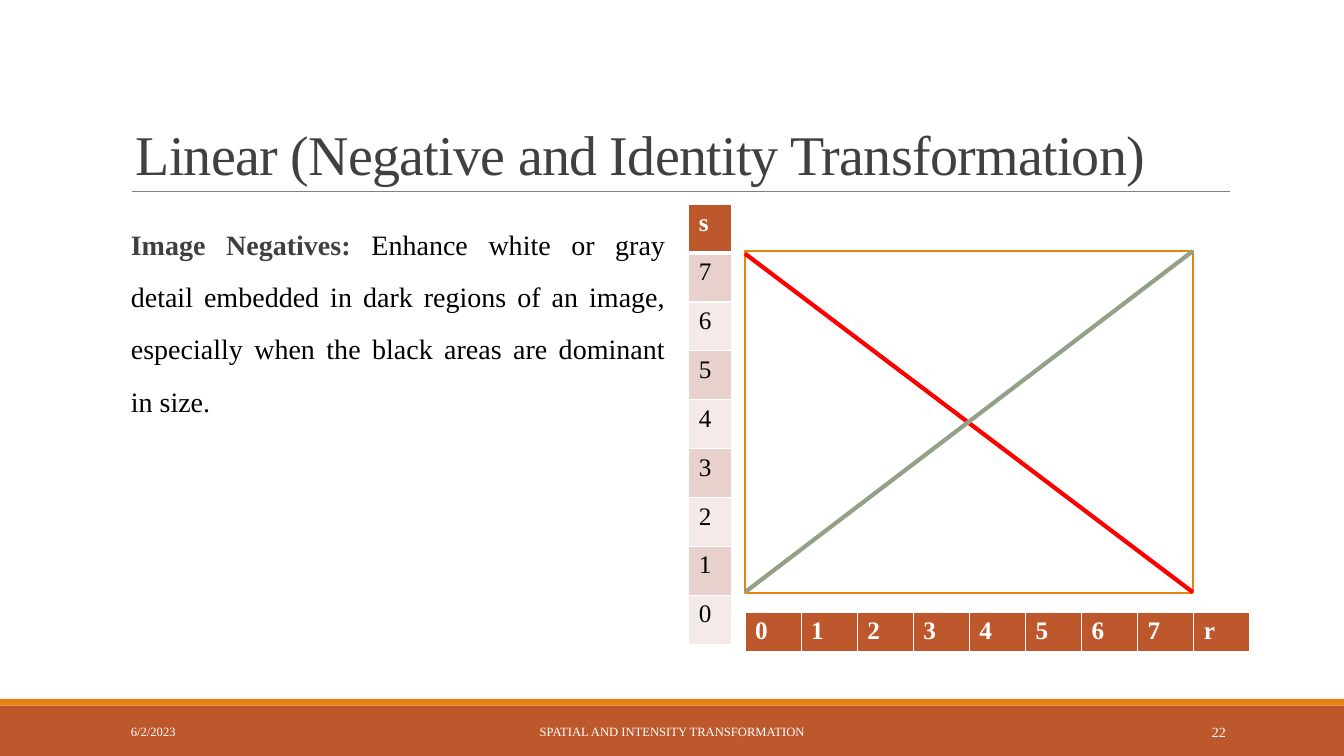
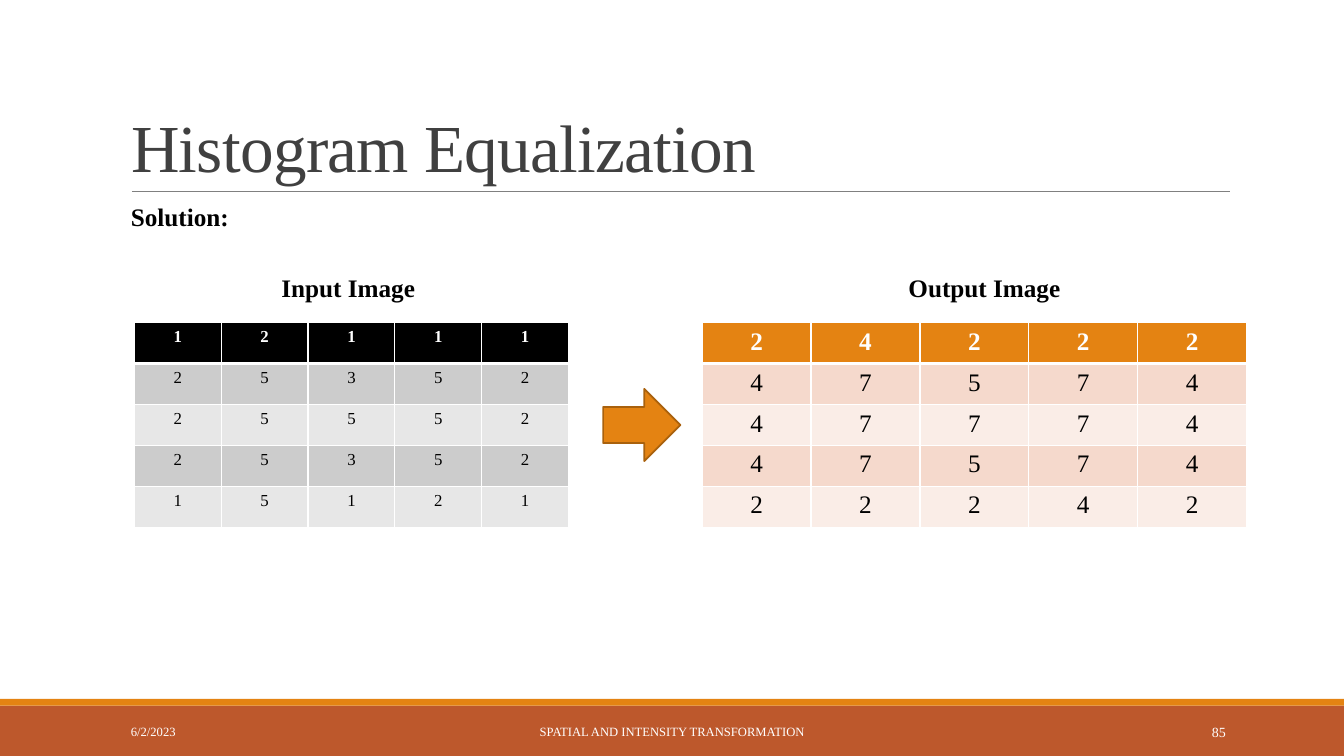
import collections

import lxml.etree
import pptx
import pptx.dml.color
import pptx.enum.shapes
import pptx.enum.text
import pptx.oxml.ns
import pptx.util

RGB = pptx.dml.color.RGBColor
SHAPE = pptx.enum.shapes.MSO_SHAPE
ALIGN = pptx.enum.text.PP_ALIGN
ANCHOR = pptx.enum.text.MSO_ANCHOR
Pt = pptx.util.Pt
qn = pptx.oxml.ns.qn

FONT = "Times New Roman"
WHITE = RGB(0xFF, 0xFF, 0xFF)
BLACK = RGB(0, 0, 0)
INK = RGB(0x40, 0x40, 0x40)
RULE = RGB(0x80, 0x80, 0x80)
RUST = RGB(0xBD, 0x58, 0x2C)
ORANGE = RGB(0xE4, 0x83, 0x12)
ARROW_EDGE = RGB(0xA9, 0x61, 0x0D)
RED = RGB(0xFF, 0, 0)
SAGE = RGB(0x94, 0xA0, 0x88)

# Table themes: header fill, then the two alternating row fills
RUST_THEME = (RUST, RGB(0xE8, 0xD1, 0xCD), RGB(0xF4, 0xEA, 0xE8))
GRAY_THEME = (BLACK, RGB(0xCC, 0xCC, 0xCC), RGB(0xE7, 0xE7, 0xE7))
ORANGE_THEME = (ORANGE, RGB(0xF5, 0xD9, 0xCC), RGB(0xFA, 0xED, 0xE7))

# The slide is a grid of 160 columns by 90 rows of square units
COLUMNS, ROWS = 160, 90
UNIT = pptx.util.Inches(7.5) / ROWS

Box = collections.namedtuple("Box", "x y w h")
FOOTER = Box(0, 83.2, COLUMNS, 6.8)


def units(*values):
    return [round(v * UNIT) for v in values]


def style(r, size, color, bold=False):
    r.font.name = FONT
    r.font.size = Pt(size)
    r.font.color.rgb = color
    r.font.bold = bold


def add_shape(s, kind, box, fill, edge=None):
    sp = s.shapes.add_shape(kind, *units(*box))
    sp.shadow.inherit = False
    sp.fill.solid()
    sp.fill.fore_color.rgb = fill
    if edge is None:
        sp.line.fill.background()
    else:
        sp.line.color.rgb = edge
        sp.line.width = Pt(1.25)
    return sp


def add_line(s, start, end, color, width):
    line = s.shapes.add_connector(
        pptx.enum.shapes.MSO_CONNECTOR.STRAIGHT, *units(*start, *end))
    line.line.color.rgb = color
    line.line.width = Pt(width)
    lxml.etree.SubElement(line._element.spPr, qn("a:effectLst"))


def add_label(s, box, text, size, color, bold=False, align=ALIGN.LEFT,
              anchor=ANCHOR.TOP):
    tf = s.shapes.add_textbox(*units(*box)).text_frame
    tf.word_wrap = True
    tf.vertical_anchor = anchor
    tf.text = text
    p = tf.paragraphs[0]
    p.alignment = align
    style(p.runs[0], size, color, bold)


def set_borders(cell, top, bottom):
    """Draw white cell borders; left and right are always 1 pt."""
    tc_pr = cell._tc.get_or_add_tcPr()
    sides = (("L", 1), ("R", 1), ("T", top), ("B", bottom))
    for i, (side, width) in enumerate(sides):
        ln = lxml.etree.Element(qn(f"a:ln{side}"), w=str(Pt(width)))
        fill = lxml.etree.SubElement(ln, qn("a:solidFill"))
        lxml.etree.SubElement(fill, qn("a:srgbClr"), val=str(WHITE))
        tc_pr.insert(i, ln)


def add_grid(s, box, rows, theme, size, align=ALIGN.CENTER):
    """Fill a table from strings, one character per cell; row 0 is the header."""
    n_rows, n_cols = len(rows), len(rows[0])
    table = s.shapes.add_table(n_rows, n_cols, *units(*box)).table
    for column in table.columns:
        column.width = units(box.w / n_cols)[0]
    for i, row in enumerate(rows):
        table.rows[i].height = units(box.h / n_rows)[0]
        header = i == 0
        fill = theme[0] if header else theme[2 - i % 2]
        for j, value in enumerate(row):
            cell = table.cell(i, j)
            cell.fill.solid()
            cell.fill.fore_color.rgb = fill
            set_borders(cell, 3 if i == 1 else 1, 3 if header else 1)
            cell.text = value
            p = cell.text_frame.paragraphs[0]
            p.alignment = align
            style(p.runs[0], size, WHITE if header else BLACK, header)


def add_title(s, box, text, size, align):
    sp = s.shapes.title
    sp.left, sp.top, sp.width, sp.height = units(*box)
    tf = sp.text_frame
    tf.text = text
    tf.word_wrap = True
    tf.auto_size = pptx.enum.text.MSO_AUTO_SIZE.NONE
    tf.vertical_anchor = ANCHOR.BOTTOM
    p = tf.paragraphs[0]
    p.alignment = align
    p.line_spacing = 0.85
    style(p.runs[0], size, INK)
    p.runs[0].font._element.set("spc", "-50")


def add_footer(s, box, number):
    stripe = 0.8
    add_shape(s, SHAPE.RECTANGLE,
              Box(box.x, box.y + stripe, box.w, box.h - stripe), RUST)
    add_shape(s, SHAPE.RECTANGLE, Box(box.x, box.y, box.w, stripe), ORANGE)
    for x, w, text, size, align in (
            (14.4, 32.4, "6/2/2023", 9, ALIGN.LEFT),
            (48.4, 63.2, "SPATIAL AND INTENSITY TRANSFORMATION", 9, ALIGN.CENTER),
            (130, 17.1, str(number), 10, ALIGN.RIGHT)):
        add_label(s, Box(box.x + x, box.y + 1.5, w, 4.8), text, size, WHITE,
                  align=align, anchor=ANCHOR.MIDDLE)


def new_slide(prs, title, size, number, title_width, align=ALIGN.LEFT):
    s = prs.slides.add_slide(prs.slide_layouts[5])
    add_footer(s, FOOTER, number)
    add_line(s, (15.7, 22.8), (146.4, 22.8), RULE, 0.5)
    add_title(s, Box(14.4, 3.7, title_width, 19.1), title, size, align)
    return s


def add_body(s, box, lead, text):
    tf = s.shapes.add_textbox(*units(*box)).text_frame
    tf.word_wrap = True
    tf.margin_right = 0
    p = tf.paragraphs[0]
    p.alignment = ALIGN.JUSTIFY
    p.line_spacing = 1.56
    for words, color, bold in ((lead, INK, True), (text, BLACK, False)):
        r = p.add_run()
        r.text = words
        style(r, 20, color, bold)


def add_transform_plot(s, box):
    """Plot both lines in a frame, with the s axis on the left and r below."""
    right, bottom = box.x + box.w, box.y + box.h
    add_shape(s, SHAPE.RECTANGLE, box, WHITE, ORANGE)
    add_grid(s, Box(box.x, bottom + 2.3, 60.1, 4.8), ["01234567r"],
             RUST_THEME, 18, ALIGN.LEFT)
    add_grid(s, Box(box.x - 6.7, box.y - 5.6, 5.1, 52.4), list("s76543210"),
             RUST_THEME, 18, ALIGN.LEFT)
    add_line(s, (box.x, box.y + 0.3), (right, bottom - 0.1), RED, 3)
    add_line(s, (right, box.y), (box.x, bottom - 0.1), SAGE, 3)


def add_image_matrix(s, box, caption, shift, rows, theme, size):
    """Place a pixel table with its caption, shifted from the table's centre."""
    add_label(s, Box(box.x + shift, box.y - 6.6, box.w, 4.8), caption, 18,
              BLACK, True, ALIGN.CENTER)
    add_grid(s, box, rows, theme, size)


def transformation_slide(prs):
    s = new_slide(prs, "Linear (Negative and Identity Transformation)", 40, 22,
                  123.7, ALIGN.CENTER)
    add_body(s, Box(14.4, 24.2, 64.8, 52.8), "Image Negatives: ",
             "Enhance white or gray detail embedded in dark regions of an image, "
             "especially when the black areas are dominant in size.")
    add_transform_plot(s, Box(88.7, 29.9, 53.3, 40.7))


def equalization_slide(prs):
    s = new_slide(prs, "Histogram Equalization", 48, 85, 132)
    add_label(s, Box(14.4, 23.4, 18.6, 4.8), "Solution:", 18, BLACK, True)
    add_image_matrix(s, Box(16, 38.4, 51.7, 24.4), "Input Image", -0.4,
                     ["12111", "25352", "25552", "25352", "15121"],
                     GRAY_THEME, 12)
    add_shape(s, SHAPE.RIGHT_ARROW, Box(71.8, 46.3, 9.2, 8.6), ORANGE, ARROW_EDGE)
    add_image_matrix(s, Box(83.6, 38.4, 64.8, 24.4), "Output Image", 1.2,
                     ["24222", "47574", "47774", "47574", "22242"],
                     ORANGE_THEME, 18)


def main():
    prs = pptx.Presentation()
    prs.slide_width, prs.slide_height = units(COLUMNS, ROWS)
    transformation_slide(prs)
    equalization_slide(prs)
    prs.save("out.pptx")


if __name__ == "__main__":
    main()
